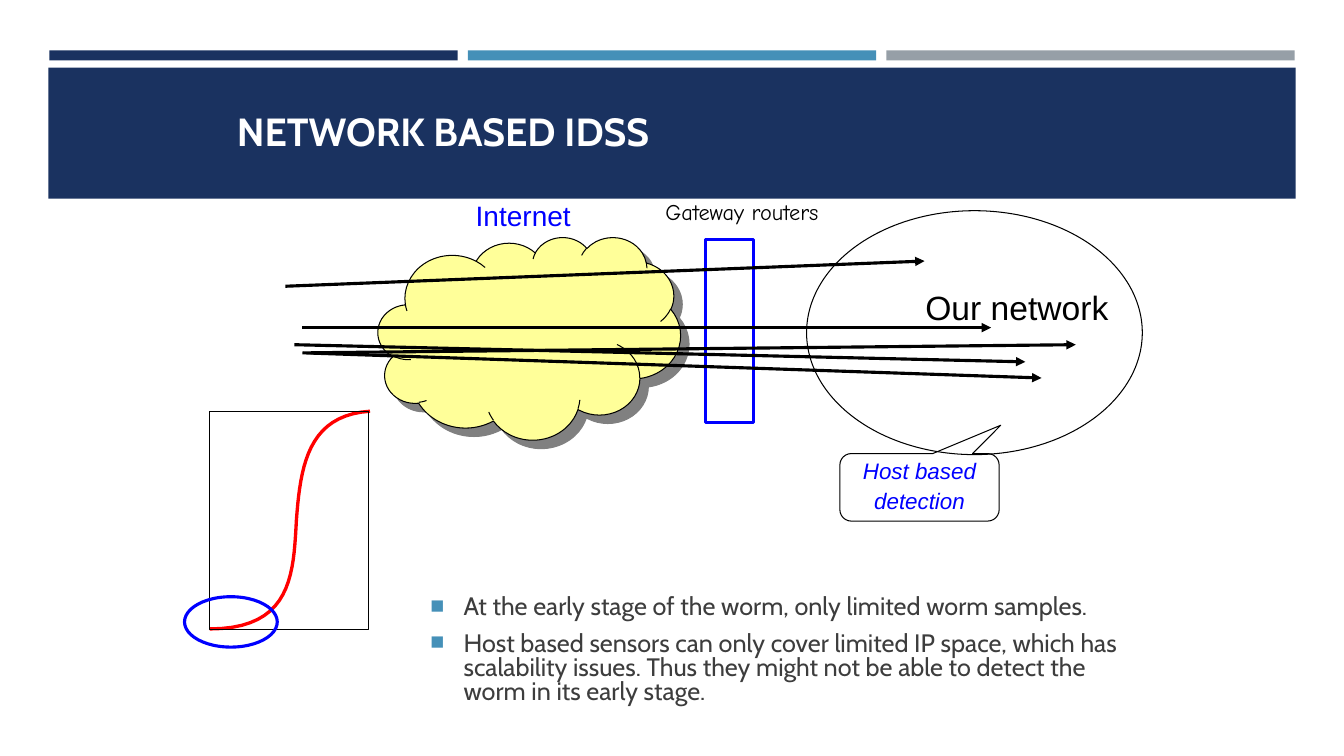
from lxml import etree
from pptx import Presentation
from pptx import util as u
from pptx.dml.color import RGBColor
from pptx.enum import shapes, text
from pptx.oxml import ns

PX = 9144
NAVY, STEEL, GREY = "1A3260", "4590B8", "969FA7"
BLACK, WHITE, BLUE, RED = "000000", "FFFFFF", "0000FF", "FF0000"
KIND = shapes.MSO_SHAPE


def color(value):
    return RGBColor.from_string(value)


def add_xml(parent, tag, **attributes):
    return etree.SubElement(parent, ns.qn(tag), attributes)


def bezier(start, first, second, end, steps=20):
    for step in range(1, steps + 1):
        t = step / steps
        weights = ((1 - t) ** 3, 3 * t * (1 - t) ** 2, 3 * t * t * (1 - t), t ** 3)
        yield tuple(
            sum(weight * value for weight, value in zip(weights, values))
            for values in zip(start, first, second, end)
        )


class Drawing:
    font = "Arial"

    def __init__(self, page):
        self.page = page

    def paint(self, shape, fill, line, width):
        shape.shadow.inherit = False
        if fill:
            shape.fill.solid()
            shape.fill.fore_color.rgb = color(fill)
        else:
            shape.fill.background()
        if line:
            shape.line.color.rgb = color(line)
            shape.line.width = u.Pt(width)
        else:
            shape.line.fill.background()

    def shape(self, kind, bounds, fill=None, line=None, width=0.75):
        shape = self.page.shapes.add_shape(kind, *(value * PX for value in bounds))
        self.paint(shape, fill, line, width)
        return shape

    def shadow(self, shape, tint, distance):
        effects = shape.element.spPr.find(ns.qn("a:effectLst"))
        shade = add_xml(effects, "a:outerShdw", blurRad="0",
                        dist=str(u.Pt(distance)), dir="2700000", algn="ctr")
        add_xml(shade, "a:srgbClr", val=tint)

    def curve(self, points, line, width):
        start, *rest = [(round(x * PX), round(y * PX)) for x, y in points]
        builder = self.page.shapes.build_freeform(*start)
        builder.add_line_segments(rest, close=False)
        self.paint(builder.convert_to_shape(), None, line, width)

    def arrow(self, start, end, line=BLACK, width=2.25):
        ends = [value * PX for value in (*start, *end)]
        arrow = self.page.shapes.add_connector(shapes.MSO_CONNECTOR.STRAIGHT, *ends)
        arrow.line.color.rgb = color(line)
        arrow.line.width = u.Pt(width)
        properties = arrow.element.spPr
        add_xml(properties.find(ns.qn("a:ln")), "a:tailEnd", type="triangle")
        add_xml(properties, "a:effectLst")

    def set_text(self, shape, lines, size, tint, font=None, anchor=text.MSO_ANCHOR.TOP,
                 align=text.PP_ALIGN.LEFT, spacing=1.0, before=0, after=0,
                 bold=False, italic=False, bullet=None):
        frame = shape.text_frame
        frame.word_wrap = True
        frame.auto_size = text.MSO_AUTO_SIZE.NONE
        frame.vertical_anchor = anchor
        for index, line in enumerate(lines):
            para = frame.paragraphs[0] if index == 0 else frame.add_paragraph()
            para.text = line
            para.alignment = align
            if bullet:
                self.bullet(para, bullet)
            para.line_spacing = spacing
            para.space_before = u.Pt(before if index else 0)
            para.space_after = u.Pt(after)
            para.font.name = font or self.font
            para.font.size = u.Pt(size)
            para.font.bold = bold
            para.font.italic = italic
            para.font.color.rgb = color(tint)

    def bullet(self, para, tint, indent=33):
        properties = para._p.get_or_add_pPr()
        properties.set("marL", str(indent * PX))
        properties.set("indent", str(-indent * PX))
        add_xml(add_xml(properties, "a:buClr"), "a:srgbClr", val=tint)
        add_xml(properties, "a:buSzPct", val="92000")
        add_xml(properties, "a:buFont", typeface="Arial")
        add_xml(properties, "a:buChar", char="■")

    def label(self, bounds, lines, size, tint, **style):
        box = self.page.shapes.add_textbox(*(value * PX for value in bounds))
        self.set_text(box, lines, size, tint, **style)

    def title(self, bounds, words, behind):
        title = self.page.shapes.title
        title.left, title.top, title.width, title.height = (v * PX for v in bounds)
        self.set_text(title, [words], 28, WHITE, font="Cabin",
                      anchor=text.MSO_ANCHOR.BOTTOM, bold=True)
        behind.element.addnext(title.element)


def main():
    deck = Presentation()
    deck.slide_width, deck.slide_height = u.Inches(13.33), u.Inches(7.5)
    drawing = Drawing(deck.slides.add_slide(deck.slide_layouts[5]))

    for column, fill in enumerate((NAVY, STEEL, GREY)):
        drawing.shape(KIND.RECTANGLE, (49 + 415 * column, 50, 405, 10), fill)
    band = drawing.shape(KIND.RECTANGLE, (48, 67, 1237, 130), NAVY)
    drawing.title((225, 33, 900, 125), "NETWORK BASED IDSS", band)

    drawing.label(
        (417, 558, 733, 175),
        ["At the early stage of the worm, only limited worm samples.",
         "Host based sensors can only cover limited IP space, which has scalability "
         "issues. Thus they might not be able to detect the worm in its early stage."],
        18, "3D3D3D", font="Cabin", anchor=text.MSO_ANCHOR.MIDDLE,
        spacing=0.8, before=3, after=6, bullet=STEEL)

    cloud = drawing.shape(KIND.CLOUD, (375, 235, 300, 201), "FFFF99", BLACK)
    drawing.shadow(cloud, "808080", 8.5)
    drawing.shape(KIND.OVAL, (800, 209, 333, 242), WHITE, BLACK)
    drawing.label((650, 192, 198, 37), ["Gateway routers"], 16, BLACK, font="Comic Neue")
    drawing.label((462, 192, 173, 43), ["Internet"], 20, BLUE)
    drawing.shape(KIND.RECTANGLE, (700, 238, 47, 181), None, BLUE, 2.25)
    drawing.label((908, 284, 233, 46), ["Our network"], 24, BLACK, spacing=0.9)

    callout = drawing.shape(KIND.ROUNDED_RECTANGULAR_CALLOUT, (833, 450, 158, 67),
                            None, BLACK)
    for index, value in enumerate((0.51, -0.92, 0.17)):
        callout.adjustments[index] = value
    drawing.set_text(callout, ["Host based", "detection"], 16, BLUE,
                     anchor=text.MSO_ANCHOR.MIDDLE, align=text.PP_ALIGN.CENTER,
                     spacing=0.9, before=4, italic=True)

    for start, end in (((283, 284), (917, 259)), ((300, 325), (983, 325)),
                       ((292, 342), (1017, 359)), ((300, 350), (1033, 375)),
                       ((308, 350), (1067, 342))):
        drawing.arrow(start, end)

    low, middle, high = (208, 624), (294, 516), (367, 408)
    growth = [low, *bezier(low, (290, 624), (291, 569), middle),
              *bezier(middle, (298, 463), (305, 412), high)]
    drawing.curve(growth, RED, 2.38)
    drawing.shape(KIND.RECTANGLE, (208, 408, 158, 217), None, BLACK)
    drawing.shape(KIND.OVAL, (183, 592, 92, 50), None, BLUE, 2.25)

    deck.save("out.pptx")


if __name__ == "__main__":
    main()
